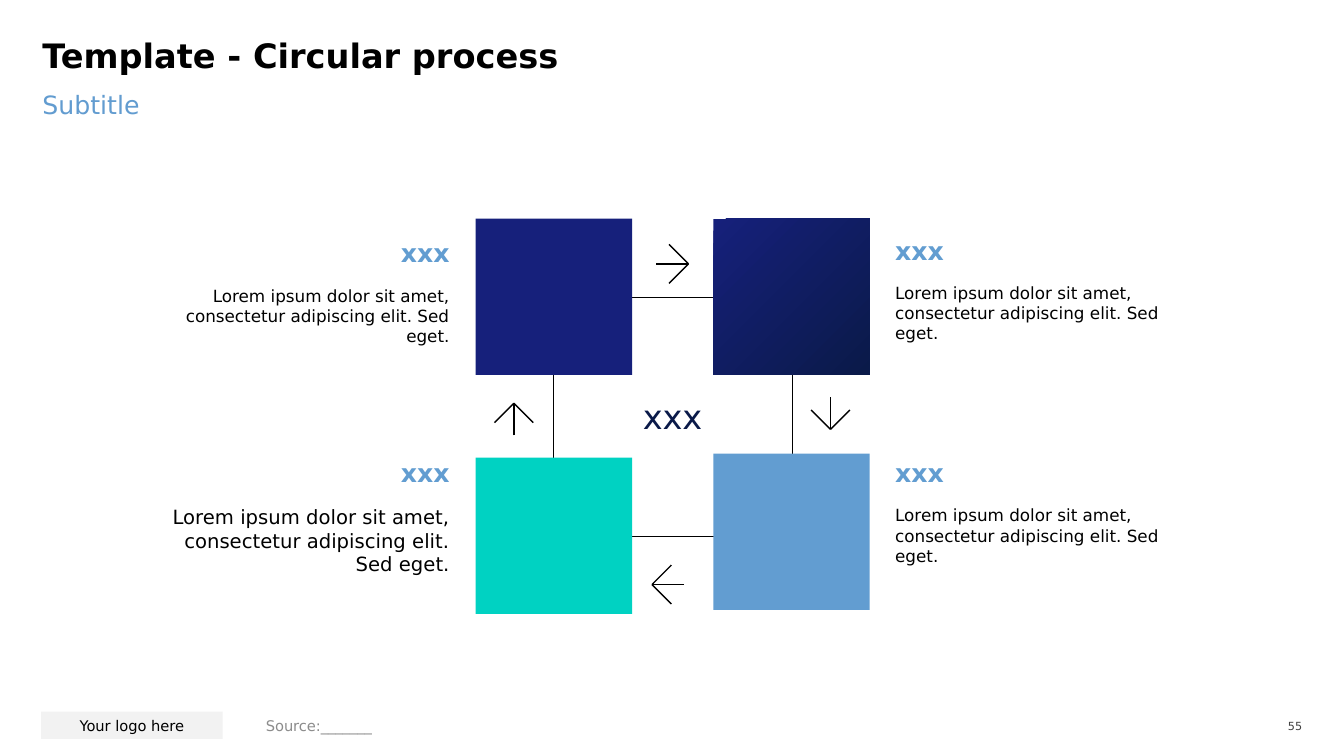
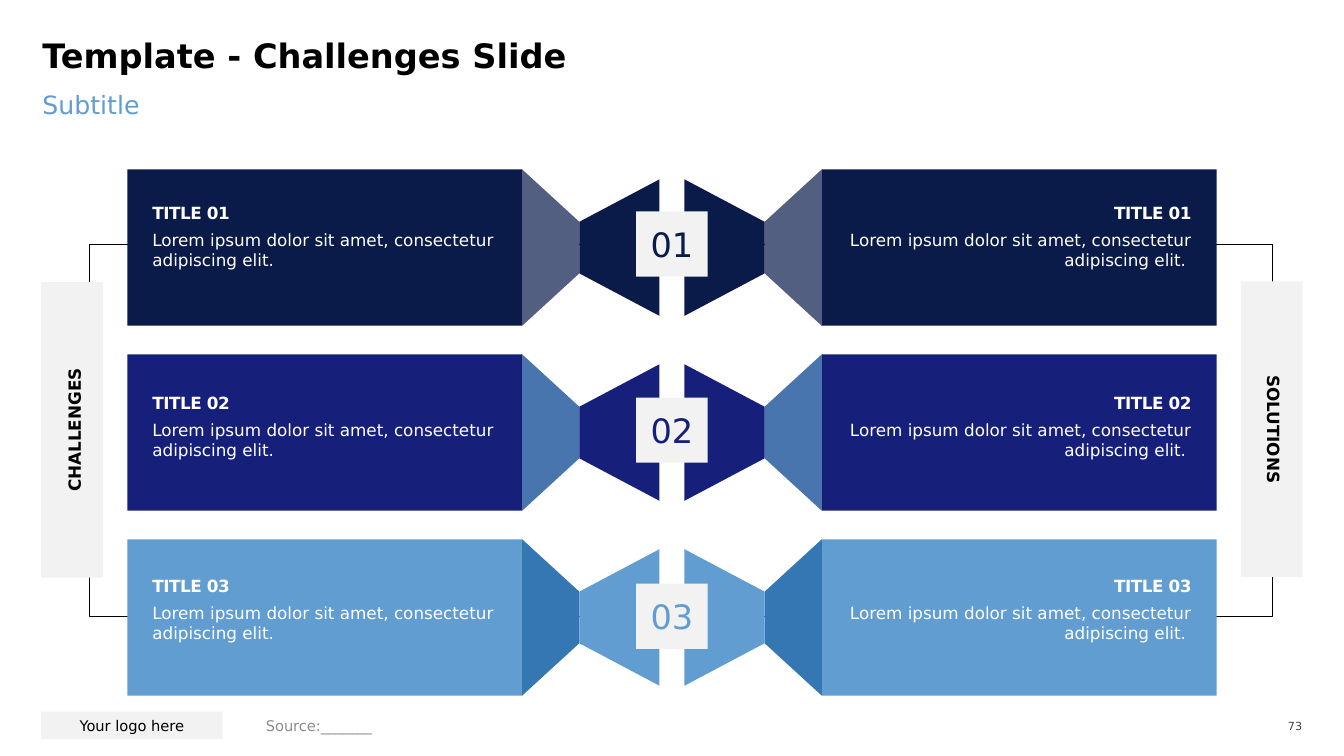
from lxml import etree
from pptx import Presentation
from pptx import util as u
from pptx.dml.color import RGBColor
from pptx.enum import shapes, text
from pptx.oxml.ns import qn

FONT = "DejaVu Sans"
BLACK, WHITE, PALE, GREY, DARK_GREY = "000000", "FFFFFF", "F2F2F2", "8C8C8C", "404040"
NAVY, INDIGO, SKY, TEAL = "0A1A49", "16207B", "629DD1", "00D2C2"
LEFT, CENTER, RIGHT = text.PP_ALIGN.LEFT, text.PP_ALIGN.CENTER, text.PP_ALIGN.RIGHT
TOP, MIDDLE, BOTTOM = text.MSO_ANCHOR.TOP, text.MSO_ANCHOR.MIDDLE, text.MSO_ANCHOR.BOTTOM

# All lengths are in centimetres.
WIDTH, HEIGHT = 33.87, 19.05

# Circular process
SIDE = 3.94
CYCLE_FRAME = (13.94, 7.49, 6.02, 6.02)
STEP_TEXT = "Lorem ipsum dolor sit amet, consectetur adipiscing elit. Sed eget."
SQUARES = [  # left, top, colours (two make a gradient)
    (11.99, 5.51, [INDIGO]),
    (17.98, 5.51, [INDIGO, NAVY]),
    (11.99, 11.53, [TEAL]),
    (17.98, 11.43, [SKY]),
]
STEPS = [  # left, top, text size, alignment
    (22.56, 5.92, 12, LEFT),
    (22.56, 11.53, 12, LEFT),
    (3.89, 11.53, 14, RIGHT),
    (3.89, 5.99, 12, RIGHT),
]
ARROWS = [  # tip, direction
    ((17.35, 6.65), (1, 0)),
    ((20.93, 10.82), (0, 1)),
    ((12.95, 10.16), (0, -1)),
    ((16.43, 14.73), (-1, 0)),
]
WING, SHAFT = 0.49, 0.81

# Challenges and solutions
CARD_TEXT = "Lorem ipsum dolor sit amet, consectetur adipiscing elit."
ROWS = [  # number, colour, fold colour, top of the card title
    ("01", NAVY, "535F80", 4.98),
    ("02", INDIGO, "4975AE", 9.77),
    ("03", SKY, "3477B2", 14.38),
]
SIDE_BARS = [  # label, left, top, text direction
    ("CHALLENGES", 1.04, 7.11, "vert270"),
    ("SOLUTIONS", 31.27, 7.09, "vert"),
]
BRACKET = (2.24, 6.15, 29.82, 9.37)
ROW_TOP, ROW_PITCH = 4.27, 4.66
CARD_LEFT, CARD_WIDTH, CARD_HEIGHT = 3.21, 9.95, 3.94
FOLD_START, FOLD_END, WING_END = 13.16, 14.6, 16.62
NARROW, WIDE = 0.65, 1.72
LABEL_LEFT, LABEL_WIDTH = 3.84, 8.74
BADGE_TOP, BADGE_PITCH, BADGE_WIDTH, BADGE_HEIGHT = 5.33, 4.69, 1.8, 1.64


def rgb(code):
    return RGBColor.from_string(code)


def cm(*lengths):
    return [u.Cm(length) for length in lengths]


def write(box, words, size=12, color=BLACK, bold=False, align=LEFT, anchor=TOP,
          margins=(0, 0, 0, 0), line_spacing=None, tracking=None, direction=None):
    """Put one formatted paragraph into a shape; margins run left, top, right, bottom."""
    frame = box.text_frame
    frame.word_wrap = True
    frame.auto_size = text.MSO_AUTO_SIZE.NONE
    frame.vertical_anchor = anchor
    (frame.margin_left, frame.margin_top,
     frame.margin_right, frame.margin_bottom) = cm(*margins)
    if direction:
        frame._txBody.bodyPr.set("vert", direction)
    para = frame.paragraphs[0]
    para.alignment = align
    if line_spacing:
        para.line_spacing = line_spacing
    span = para.add_run()
    span.text = words
    span.font.name = FONT
    span.font.size = u.Pt(size)
    span.font.bold = bold
    span.font.color.rgb = rgb(color)
    if tracking:
        span._r.get_or_add_rPr().set("spc", str(tracking))


def add_text(page, place, words, **format):
    write(page.shapes.add_textbox(*cm(*place)), words, **format)


def paint(shape, color):
    shape.shadow.inherit = False
    shape.line.fill.background()
    shape.fill.solid()
    shape.fill.fore_color.rgb = rgb(color)


def add_rect(page, place, color):
    rect = page.shapes.add_shape(shapes.MSO_SHAPE.RECTANGLE, *cm(*place))
    paint(rect, color)
    return rect


def add_frame(page, place):
    frame = add_rect(page, place, WHITE)
    frame.fill.background()
    frame.line.color.rgb = rgb(BLACK)
    frame.line.width = u.Pt(0.25)


def add_polygon(page, points, color):
    start, *rest = [cm(*point) for point in points]
    builder = page.shapes.build_freeform(*start)
    builder.add_line_segments(rest, close=True)
    paint(builder.convert_to_shape(), color)


def add_line(page, start, end):
    line = page.shapes.add_connector(shapes.MSO_CONNECTOR.STRAIGHT, *cm(*start, *end))
    line.line.color.rgb = rgb(BLACK)
    line.line.width = u.Pt(1)
    etree.SubElement(line._element.spPr, qn("a:effectLst"))


def add_arrow(page, tip, direction):
    """Draw an open arrow: two wings and a shaft that meet at the tip."""
    (x, y), (dx, dy) = tip, direction
    for turn in (-1, 1):
        add_line(page, (x - WING * (dx + turn * dy), y - WING * (dy + turn * dx)), tip)
    add_line(page, (x - SHAFT * dx, y - SHAFT * dy), tip)


def add_page(deck, title, number):
    """Add a slide with its title, subtitle and footer."""
    page = deck.slides.add_slide(deck.slide_layouts[5])
    heading = page.shapes.title
    heading.left, heading.top, heading.width, heading.height = cm(1.07, 1.07, 31.72, 1.35)
    write(heading, title, size=24, bold=True, line_spacing=0.8)
    add_text(page, (1.07, 2.24, 31.72, 1.6), "Subtitle", size=18, color="629CD0")
    logo = add_rect(page, (1.04, 17.93, 4.57, 0.69), PALE)
    write(logo, "Your logo here", size=10.5, align=CENTER, anchor=MIDDLE,
          margins=(0.25, 0.25, 0.25, 0.25))
    add_text(page, (6.45, 17.96, 16.23, 0.66), "Source:_______", size=10.5, color=GREY,
             anchor=MIDDLE, margins=(0.25, 0.13, 0.25, 0.13))
    add_text(page, (31.75, 18.01, 1.07, 0.58), number, size=8, color=DARK_GREY,
             align=RIGHT, anchor=MIDDLE)
    return page


def build_cycle(deck):
    page = add_page(deck, "Template - Circular process", "55")
    add_frame(page, CYCLE_FRAME)
    for left, top, colors in SQUARES:
        square = add_rect(page, (left, top, SIDE, SIDE), colors[0])
        if len(colors) > 1:
            square.fill.gradient()
            square.fill.gradient_angle = 315
            for stop, color, position in zip(square.fill.gradient_stops, colors, (0, 0.99)):
                stop.color.rgb = rgb(color)
                stop.position = position
    for left, top, size, align in STEPS:
        add_text(page, (left, top, 7.44, 1.02), "xxx", size=18, color=SKY, bold=True,
                 align=align)
        add_text(page, (left, top + 1.2, 7.44, 1.8), STEP_TEXT, size=size, align=align)
    for tip, direction in ARROWS:
        add_arrow(page, tip, direction)
    add_text(page, (13.94, 9.98, 6.02, 1.02), "xxx", size=24, color=NAVY, align=CENTER)


def add_half_row(page, row, top, mirrored):
    """Draw a card with its fold and wing, on the left or mirrored to the right."""
    number, color, fold_color, title_top = row
    middle = top + CARD_HEIGHT / 2

    def flip(x, width=0):
        return WIDTH - x - width if mirrored else x

    def taper(x_start, half_start, x_end, half_end):
        return [(flip(x_start), middle - half_start), (flip(x_start), middle + half_start),
                (flip(x_end), middle + half_end), (flip(x_end), middle - half_end)]

    add_rect(page, (flip(CARD_LEFT, CARD_WIDTH), top, CARD_WIDTH, CARD_HEIGHT), color)
    add_polygon(page, taper(FOLD_START, CARD_HEIGHT / 2, FOLD_END, NARROW), fold_color)
    add_polygon(page, taper(FOLD_END, NARROW, WING_END, WIDE), color)

    left = flip(LABEL_LEFT, LABEL_WIDTH)
    align = RIGHT if mirrored else LEFT
    add_text(page, (left, title_top, LABEL_WIDTH, 0.76), f"TITLE {number}", color=WHITE,
             bold=True, align=align, anchor=BOTTOM, margins=(0, 0.13, 0, 0.13), tracking=-30)
    add_text(page, (left, title_top + 0.81, LABEL_WIDTH, 1.55),
             CARD_TEXT + " " if mirrored else CARD_TEXT, color=WHITE, align=align)


def build_challenges(deck):
    page = add_page(deck, "Template - Challenges Slide", "73")
    add_frame(page, BRACKET)
    for label, left, top, direction in SIDE_BARS:
        write(add_rect(page, (left, top, 1.56, 7.45), PALE), label, bold=True, align=CENTER,
              anchor=MIDDLE, margins=(0.3, 0.2, 0.2, 0.2), direction=direction)
    for index, row in enumerate(ROWS):
        for mirrored in (False, True):
            add_half_row(page, row, ROW_TOP + index * ROW_PITCH, mirrored)
        badge = add_rect(page, ((WIDTH - BADGE_WIDTH) / 2, BADGE_TOP + index * BADGE_PITCH,
                                BADGE_WIDTH, BADGE_HEIGHT), PALE)
        write(badge, row[0], size=24, color=row[1], align=CENTER, anchor=MIDDLE)


def main():
    deck = Presentation()
    deck.slide_width, deck.slide_height = cm(WIDTH, HEIGHT)
    build_cycle(deck)
    build_challenges(deck)
    deck.save("out.pptx")


if __name__ == "__main__":
    main()
